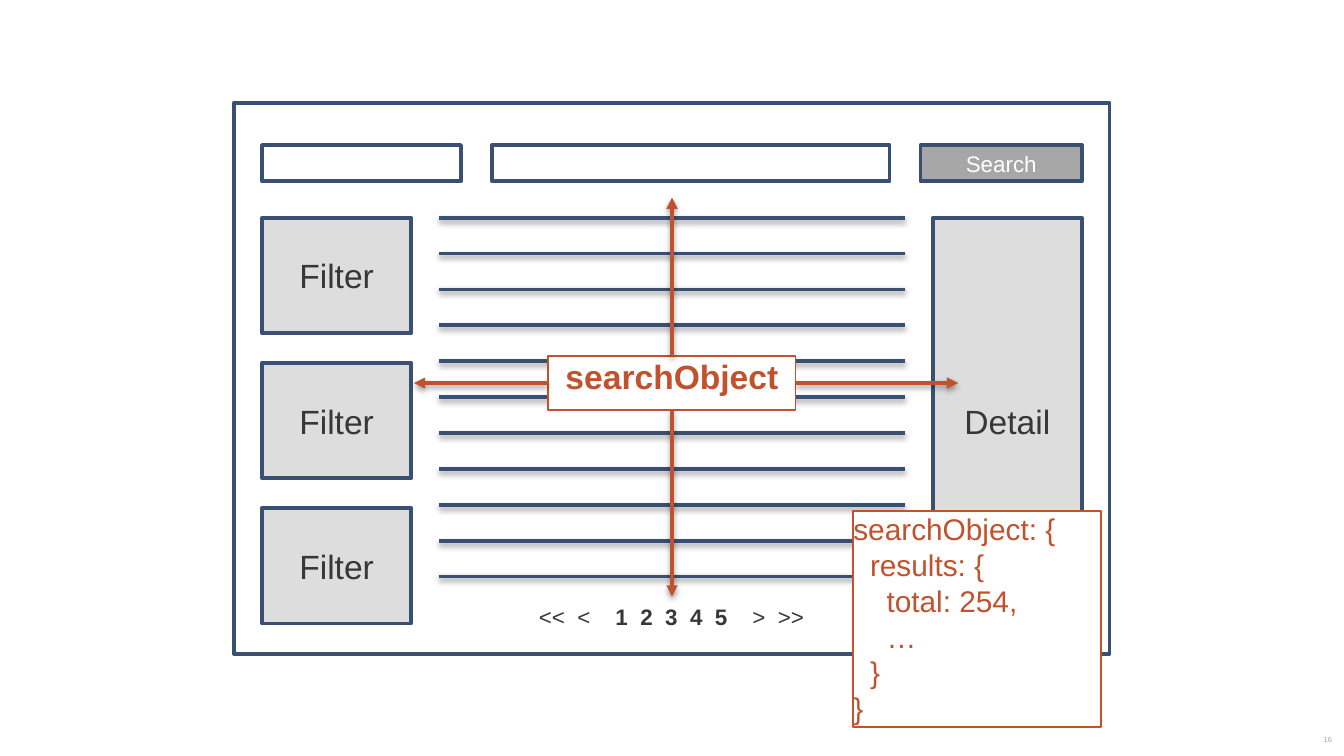
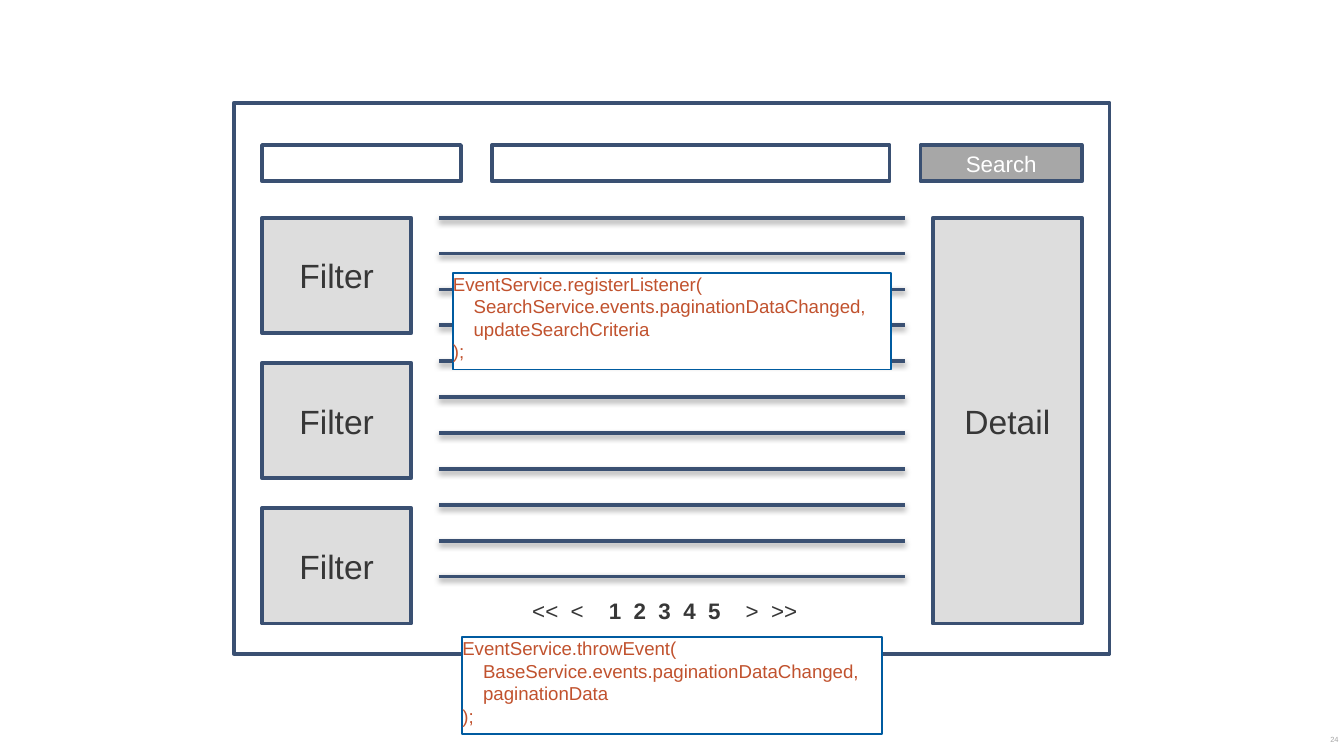
from lxml import etree
from pptx import Presentation
from pptx.dml.color import RGBColor
from pptx.enum.shapes import MSO_CONNECTOR, MSO_SHAPE
from pptx.enum.text import MSO_ANCHOR, PP_ALIGN
from pptx.oxml.ns import qn
from pptx.util import Inches, Pt

RECT, LINE = MSO_SHAPE.RECTANGLE, MSO_CONNECTOR.STRAIGHT
LEFT, MID, RIGHT = PP_ALIGN.LEFT, PP_ALIGN.CENTER, PP_ALIGN.RIGHT
TOP, CENTER = MSO_ANCHOR.TOP, MSO_ANCHOR.MIDDLE

rgb = RGBColor.from_string
NAVY, RUST, BLUE = "3A5072", "C1522E", "005BA0"
WHITE, PALE, GREY, INK, FAINT = "FFFFFF", "DDDDDD", "A7A7A7", "373737", "A6A6A6"

# The grid: 100 columns across, cells of a tenth of an inch
CELL = Inches(0.1)
COLS, ROWS = 100, 56.25


def write(slide, at, text=(), fill=None, line=NAVY, width=2, size=18,
          color=INK, bold=False, align=MID, anchor=CENTER, inset=0,
          step=0, wrap=True):
    """Box with (level, text) lines; parts between bars are bold."""
    place = [round(v * CELL) for v in at]
    if fill:
        box = slide.shapes.add_shape(RECT, *place)
        box.shadow.inherit = False
        box.fill.solid()
        box.fill.fore_color.rgb = rgb(fill)
        box.line.color.rgb = rgb(line)
        box.line.width = Pt(width)
    else:
        box = slide.shapes.add_textbox(*place)
    frame = box.text_frame
    frame.word_wrap = wrap
    frame.vertical_anchor = anchor
    frame.margin_left = frame.margin_right = Inches(inset)
    frame.margin_top = frame.margin_bottom = Inches(inset)
    lines = [(0, text)] if isinstance(text, str) else text
    for n, (level, words) in enumerate(lines):
        para = frame.add_paragraph() if n else frame.paragraphs[0]
        para.alignment = align
        if level:
            props = para._p.get_or_add_pPr()
            props.set("marL", str(Pt(level * step)))
            props.set("indent", "0")
        for k, part in enumerate(words.split("|")):
            run = para.add_run()
            run.text = part
            run.font.name = "Arial"
            run.font.size = Pt(size)
            run.font.bold = bold or k % 2 == 1
            run.font.color.rgb = rgb(color)
    return box


def link(slide, start, end, color=NAVY, arrow=False):
    """Straight line with a soft shadow below it."""
    wire = slide.shapes.add_connector(
        LINE, *[round(v * CELL) for v in (*start, *end)])
    wire.line.color.rgb = rgb(color)
    wire.line.width = Pt(2)
    if arrow:
        edge = wire._element.spPr.find(qn("a:ln"))
        etree.SubElement(edge, qn("a:tailEnd"), type="triangle")
    glow = etree.SubElement(wire._element.spPr, qn("a:effectLst"))
    cast = etree.SubElement(glow, qn("a:outerShdw"), blurRad=str(Pt(3)),
                            dist=str(Pt(1.6)), dir="5400000", rotWithShape="0")
    tone = etree.SubElement(cast, qn("a:srgbClr"), val="000000")
    etree.SubElement(tone, qn("a:alpha"), val="38000")
    return wire


deck = Presentation()
deck.slide_width, deck.slide_height = round(COLS * CELL), round(ROWS * CELL)

# Shared wireframe: page number and its inset, then the search page
pages = []
for number, inset in (("16", 0.05), ("24", 0)):
    page = deck.slides.add_slide(deck.slide_layouts[6])
    pages.append(page)
    write(page, (76.3, 54.2, 23.3, 1.7), number, size=4, color=FAINT,
          align=RIGHT, inset=inset)
    write(page, (17.4, 7.65, 65.15, 41), fill=WHITE)

    # Search bar
    for x, wide in ((19.5, 14.8), (36.6, 29.6)):
        write(page, (x, 10.8, wide, 2.7), fill=WHITE)
    write(page, (68.5, 10.8, 12, 2.7), "Search", fill=GREY, size=12, color=WHITE)

    # Pager
    write(page, (39.6, 44.4, 20.9, 2.9), "<<  <    |1  2  3  4  5|    >  >>",
          size=12, align=LEFT, anchor=TOP, inset=inset, wrap=False)

    # Result rows
    for row in range(11):
        y = 16.2 + row * 2.67
        link(page, (32.7, y), (67.3, y))

    # Filters and detail
    for row in range(3):
        write(page, (19.5, 16.2 + row * 10.8, 11.1, 8.6), "Filter", fill=PALE)
    write(page, (69.4, 16.2, 11.1, 30.2), "Detail", fill=PALE)

first, second = pages

# Slide 1: search object and the parts it feeds
hub = write(first, (40.8, 26.5, 18.4, 4), "searchObject", fill=WHITE, line=RUST,
            width=1, color=RUST, bold=True, anchor=TOP)
for side, end in ((3, (71.3, 28.5)), (0, (50, 14.7)),
                  (1, (30.8, 28.5)), (2, (50, 44.4))):
    wire = link(first, (50, 28.5), end, color=RUST, arrow=True)
    wire.begin_connect(hub, side)

# Code boxes on both slides
codes = (
    (first, (63.5, 38, 18.4, 16.1), RUST, 16, 8.9,
     [(0, "searchObject: {"), (1, "results: {"), (2, "total: 254,"),
      (2, "…"), (1, "}"), (0, "}")]),
    (second, (33.7, 20.3, 32.6, 7.2), BLUE, 10, 11.1,
     [(0, "EventService.registerListener("),
      (1, "SearchService.events.paginationDataChanged,"),
      (1, "updateSearchCriteria"), (0, ");")]),
    (second, (34.4, 47.4, 31.2, 7.2), BLUE, 10, 11.1,
     [(0, "EventService.throwEvent("),
      (1, "BaseService.events.paginationDataChanged,"),
      (1, "paginationData"), (0, ");")]),
)
for page, at, edge, size, step, code in codes:
    write(page, at, code, fill=WHITE, line=edge, width=1, size=size, color=RUST,
          align=LEFT, anchor=TOP, step=step)

deck.save("out.pptx")
